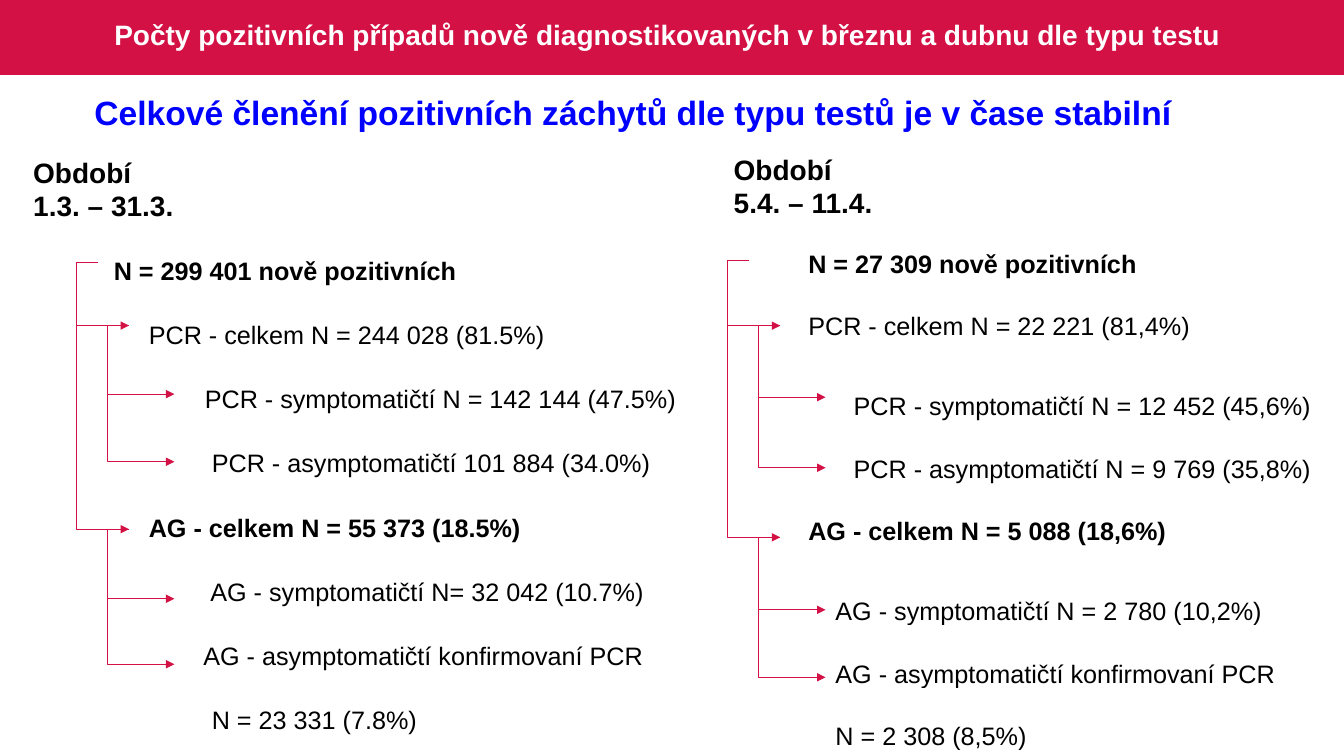
from dataclasses import dataclass

from lxml.etree import SubElement
from pptx import Presentation
from pptx.dml.color import RGBColor
from pptx.enum.shapes import MSO_CONNECTOR, MSO_SHAPE
from pptx.enum.text import MSO_ANCHOR, PP_ALIGN
from pptx.oxml.ns import qn
from pptx.util import Pt

TOP, MIDDLE, BOTTOM = MSO_ANCHOR.TOP, MSO_ANCHOR.MIDDLE, MSO_ANCHOR.BOTTOM


def color(value):
    return RGBColor.from_string(value)


@dataclass
class Entry:
    text: str
    column: int = 0
    indent: float = 0
    anchor: MSO_ANCHOR = MIDDLE
    size: float = 18
    bold: bool = False


class TestSlide:
    font = "Arial"
    crimson = "D31145"
    black = "000000"
    blue = "0000FF"
    white = "FFFFFF"
    trunk_width = 22.3
    branch_width = 32.4
    detour = 15.4

    def __init__(self, slide):
        self.slide = slide

    def style(self, paragraph, size, bold, ink):
        paragraph.font.name = self.font
        paragraph.font.size = Pt(size)
        paragraph.font.bold = bold
        paragraph.font.color.rgb = color(ink)

    def band(self, left, top, width, height):
        band = self.slide.shapes.add_shape(
            MSO_SHAPE.RECTANGLE, Pt(left), Pt(top), Pt(width), Pt(height))
        band.shadow.inherit = False
        band.fill.solid()
        band.fill.fore_color.rgb = color(self.crimson)
        band.line.fill.background()

    def text(self, box, lines, size, ink, align=PP_ALIGN.LEFT, anchor=TOP, wrap=True, spacing=1.0):
        frame = self.slide.shapes.add_textbox(*map(Pt, box)).text_frame
        frame.word_wrap = wrap
        frame.vertical_anchor = anchor
        frame.text = "\n".join(lines)
        for paragraph in frame.paragraphs:
            paragraph.alignment = align
            paragraph.line_spacing = spacing
            self.style(paragraph, size, True, ink)

    def table(self, left, top, widths, row_height, entries):
        table = self.slide.shapes.add_table(
            len(entries), len(widths), Pt(left), Pt(top),
            Pt(sum(widths)), Pt(row_height * len(entries))).table
        table.first_row = False
        table.horz_banding = False
        for column, width in zip(table.columns, widths):
            column.width = Pt(width)
        for cell in table.iter_cells():
            cell.fill.background()
        last = len(widths) - 1
        for row, entry in enumerate(entries):
            table.rows[row].height = Pt(row_height)
            cell = table.cell(row, entry.column)
            if entry.column < last:
                cell.merge(table.cell(row, last))
            if entry.column > 2:
                table.cell(row, 1).merge(table.cell(row, entry.column - 1))
            cell.margin_left = Pt(0.7 + entry.indent)
            cell.margin_right = cell.margin_top = Pt(0.7)
            cell.margin_bottom = 0
            cell.vertical_anchor = entry.anchor
            cell.text = entry.text
            self.style(cell.text_frame.paragraphs[0], entry.size, entry.bold, self.black)

    def arrow(self, group, left, top, width, bottom):
        arrow = group.shapes.add_connector(
            MSO_CONNECTOR.ELBOW, Pt(left), Pt(top), Pt(left + width), Pt(bottom))
        arrow.line.color.rgb = color(self.crimson)
        arrow.line.width = Pt(0.5)
        properties = arrow.element.spPr
        bend = round(-self.detour / width * 100000)
        adjustments = properties.find(qn("a:prstGeom")).find(qn("a:avLst"))
        SubElement(adjustments, qn("a:gd"), name="adj1", fmla=f"val {bend}")
        SubElement(properties.find(qn("a:ln")), qn("a:tailEnd"), type="triangle")
        SubElement(properties, qn("a:effectLst"))

    def tree(self, left, top, branches):
        group = self.slide.shapes.add_group_shape()
        for branch, leaves in branches.items():
            self.arrow(group, left, top, self.trunk_width, branch)
            for leaf in leaves:
                self.arrow(group, left + self.trunk_width, branch, self.branch_width, leaf)


def main():
    deck = Presentation()
    deck.slide_width, deck.slide_height = Pt(960), Pt(540)
    page = TestSlide(deck.slides.add_slide(deck.slide_layouts[6]))

    page.band(0, 0, 960, 53.5)
    page.text((10, 3.3, 933.8, 45.4),
              ["Počty pozitivních případů nově diagnostikovaných v březnu a dubnu dle typu testu"],
              20, page.white, PP_ALIGN.CENTER, MIDDLE, spacing=0.9)
    page.text((16.6, 107.3, 121, 55.4), ["Období", "1.3. – 31.3."], 20, page.black, wrap=False)

    page.table(80.6, 170.6, [416.2], 45.9, [
        Entry("N = 299 401 nově pozitivních", bold=True),
        Entry("PCR - celkem N = 244 028 (81.5%)", indent=25),
        Entry("PCR - symptomatičtí N = 142 144 (47.5%)", indent=65),
        Entry("PCR - asymptomatičtí 101 884 (34.0%)", indent=70),
        Entry("AG - celkem N = 55 373 (18.5%)", indent=25, bold=True),
        Entry("AG - symptomatičtí N= 32 042 (10.7%)", indent=69),
        Entry("AG - asymptomatičtí konfirmovaní PCR", indent=64),
        Entry("N = 23 331 (7.8%)", indent=70),
    ])
    page.table(523.4, 88.6, [53.3, 19.4, 13, 349.2], 44.8, [
        Entry("Období", anchor=BOTTOM, size=20, bold=True),
        Entry("5.4. – 11.4.", anchor=TOP, size=20, bold=True),
        Entry("N = 27 309 nově pozitivních", 1, anchor=TOP, bold=True),
        Entry("PCR - celkem N = 22 221 (81,4%)", 1, anchor=TOP),
        Entry("PCR - symptomatičtí N = 12 452 (45,6%)", 3),
        Entry("PCR - asymptomatičtí N = 9 769 (35,8%)", 3),
        Entry("AG - celkem N = 5 088 (18,6%)", 1, bold=True),
        Entry("AG - symptomatičtí N = 2 780 (10,2%)", 2, anchor=BOTTOM),
        Entry("AG - asymptomatičtí konfirmovaní PCR", 2, anchor=BOTTOM),
        Entry("N = 2 308 (8,5%)", 2, anchor=BOTTOM),
    ])

    page.tree(535, 185.8, {232.6: (283.7, 334.1), 383.8: (435.6, 483.8)})
    page.tree(69.8, 187.2, {232.6: (281.5, 329.8), 378: (427.7, 474.5)})

    page.text((31, 61.9, 842.4, 36),
              ["Celkové členění pozitivních záchytů dle typu testů je v čase stabilní"],
              24, page.blue, PP_ALIGN.CENTER)
    deck.save("out.pptx")


if __name__ == "__main__":
    main()
